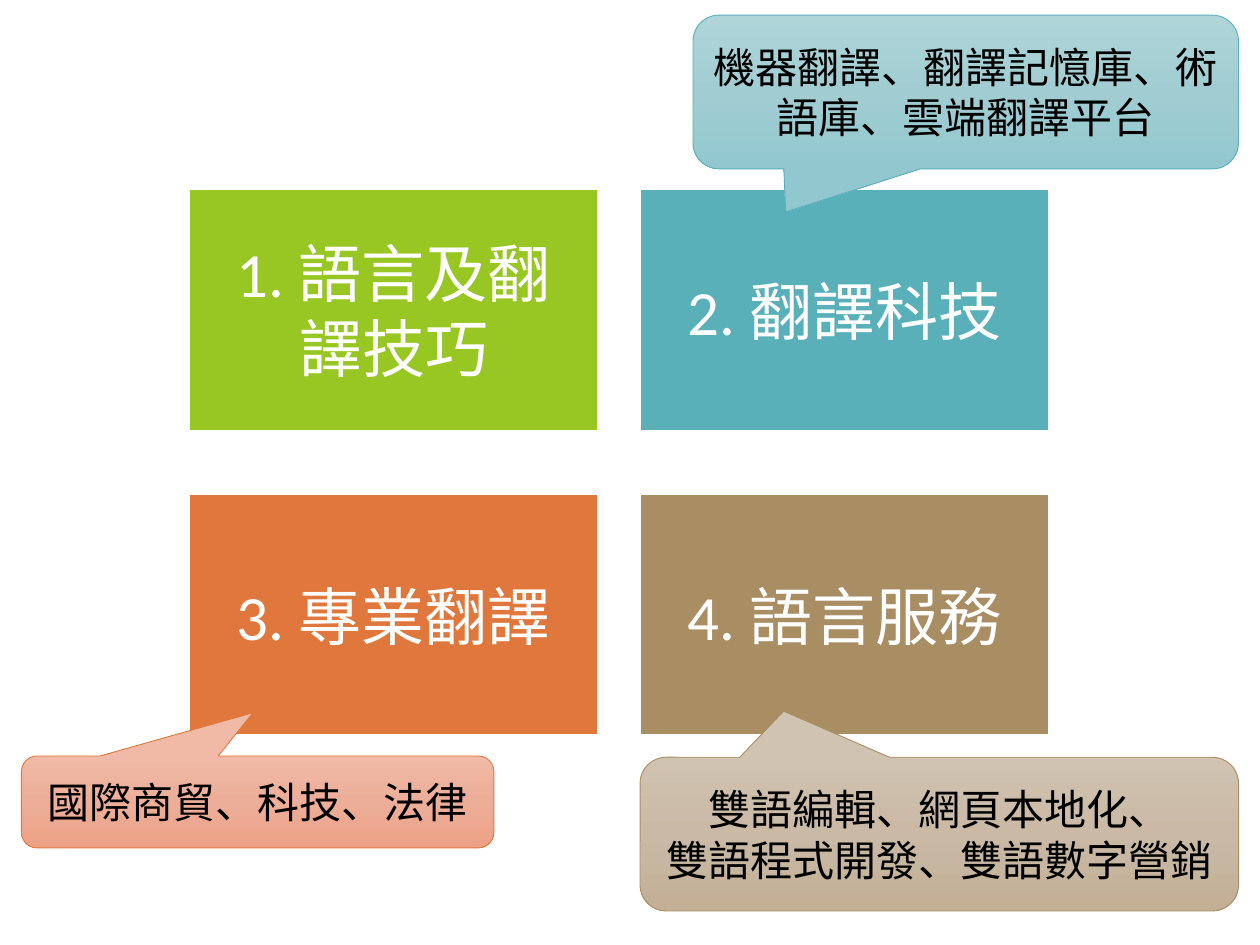
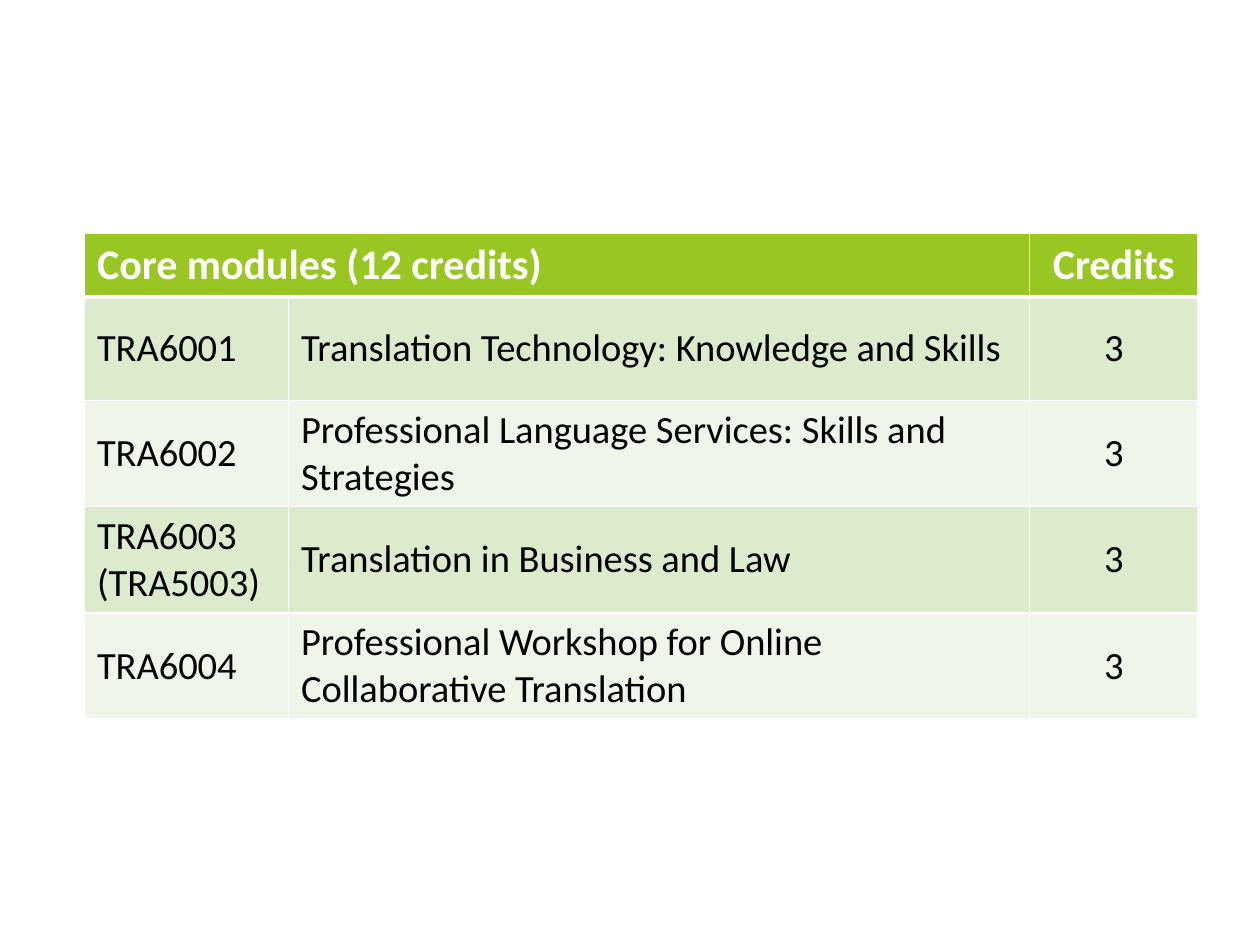
from copy import deepcopy
from dataclasses import dataclass

from lxml.etree import SubElement
from pptx import Presentation
from pptx.dml.color import RGBColor
from pptx.enum.shapes import MSO_SHAPE
from pptx.enum.text import MSO_ANCHOR, PP_ALIGN
from pptx.oxml.ns import qn
from pptx.presentation import Presentation as Deck
from pptx.shapes.autoshape import Shape
from pptx.slide import Slide
from pptx.table import _Cell as Cell
from pptx.text.text import TextFrame
from pptx.util import Inches, Pt


@dataclass(frozen=True)
class Theme:
    white: str = "FFFFFF"
    black: str = "000000"
    green: str = "98C723"
    teal: str = "59B0B9"
    orange: str = "E0773C"
    brown: str = "A98D63"
    row_fills: tuple[str, str] = ("DDEBCD", "EFF5E8")
    latin_font: str = "Calibri"
    chinese_font: str = "Noto Sans CJK TC"
    topic_size: int = 36
    callout_size: int = 24
    header_size: int = 24
    body_size: int = 22
    topic_line: float = 1.5
    callout_line: float = 0.5
    grid_line: float = 1
    header_rule: float = 3


THEME = Theme()


@dataclass(frozen=True)
class Topic:
    text: str
    color: str


@dataclass(frozen=True)
class Callout:
    text: str
    area: tuple[float, float, float, float]
    pointer: tuple[float, float]
    line: str
    gradient: tuple[str, str, str]


@dataclass(frozen=True)
class Module:
    code: str
    name: str
    credits: str = "3"


TOPICS = (
    Topic("1. 語言及翻譯技巧", THEME.green),
    Topic("2. 翻譯科技", THEME.teal),
    Topic("3. 專業翻譯", THEME.orange),
    Topic("4. 語言服務", THEME.brown),
)
TOPIC_LEFT, TOPIC_TOP = 1.5, 1.5
TOPIC_WIDTH, TOPIC_HEIGHT = 3.25, 1.92
TOPIC_STEP_X, TOPIC_STEP_Y = 3.58, 2.42

CALLOUTS = (
    Callout("機器翻譯、翻譯記憶庫、術語庫、雲端翻譯平台", (5.5, 0.12, 4.33, 1.22),
            (-0.33, 0.78), THEME.teal, ("AFD5D9", "A1CDD2", "91C8CF")),
    Callout("國際商貿、科技、法律", (0.17, 6, 3.75, 0.73),
            (-0.01, -0.97), THEME.orange, ("F0BAA7", "ECAE99", "EDA185")),
    Callout("雙語編輯、網頁本地化、\n雙語程式開發、雙語數字營銷", (5.08, 6.01, 4.75, 1.22),
            (-0.26, -0.8), THEME.brown, ("D1C3B2", "C9B9A5", "C3AF96")),
)

MODULES = (
    Module("TRA6001", "Translation Technology: Knowledge and Skills"),
    Module("TRA6002", "Professional Language Services: Skills and Strategies"),
    Module("TRA6003\n(TRA5003)", "Translation in Business and Law"),
    Module("TRA6004", "Professional Workshop for Online Collaborative Translation"),
)
COLUMN_WIDTHS = (1.62, 5.88, 1.34)
ROW_HEIGHTS = (0.5, 0.82, 0.83, 0.83, 0.83)


def rgb(color: str) -> RGBColor:
    return RGBColor.from_string(color)


def write(frame: TextFrame, text: str, size: int, color: str, font: str,
          align: PP_ALIGN = PP_ALIGN.CENTER, bold: bool = False) -> None:
    frame.word_wrap = True
    frame.text = text
    font_format = {"name": font, "size": Pt(size), "bold": bold}
    for para in frame.paragraphs:
        para.alignment = align
        for span in para.runs:
            for key, value in font_format.items():
                setattr(span.font, key, value)
            span.font.color.rgb = rgb(color)
            SubElement(span.font._element, qn("a:ea"), typeface=THEME.chinese_font)


def add_box(page: Slide, kind: MSO_SHAPE, area: tuple[float, float, float, float],
            line: str, weight: float) -> Shape:
    box = page.shapes.add_shape(kind, *map(Inches, area))
    box.shadow.inherit = False
    box.line.color.rgb = rgb(line)
    box.line.width = Pt(weight)
    box.text_frame.vertical_anchor = MSO_ANCHOR.MIDDLE
    return box


def add_topic(page: Slide, index: int, topic: Topic) -> None:
    row, column = divmod(index, 2)
    area = (TOPIC_LEFT + column * TOPIC_STEP_X, TOPIC_TOP + row * TOPIC_STEP_Y,
            TOPIC_WIDTH, TOPIC_HEIGHT)
    box = add_box(page, MSO_SHAPE.RECTANGLE, area, THEME.white, THEME.topic_line)
    box.fill.solid()
    box.fill.fore_color.rgb = rgb(topic.color)
    frame = box.text_frame
    frame.margin_left = frame.margin_right = Inches(0.15)
    write(frame, topic.text, THEME.topic_size, THEME.white, THEME.latin_font)


def fill_downward(box: Shape, colors: tuple[str, str, str]) -> None:
    """Fill the box with an even three-colour gradient from top to bottom."""
    box.fill.gradient()
    box.fill.gradient_angle = 270
    stop_list = box._element.spPr.find(qn("a:gradFill")).find(qn("a:gsLst"))
    stop_list.insert(1, deepcopy(stop_list[0]))
    for index, (stop, color) in enumerate(zip(box.fill.gradient_stops, colors)):
        stop.position = index / 2
        stop.color.rgb = rgb(color)


def add_callout(page: Slide, callout: Callout) -> None:
    box = add_box(page, MSO_SHAPE.ROUNDED_RECTANGULAR_CALLOUT, callout.area,
                  callout.line, THEME.callout_line)
    for index, value in enumerate((*callout.pointer, 0.17)):
        box.adjustments[index] = value
    fill_downward(box, callout.gradient)
    write(box.text_frame, callout.text, THEME.callout_size, THEME.black,
          THEME.chinese_font)


def style_cell(cell: Cell, fill: str, top: float, bottom: float) -> None:
    properties = cell._tc.get_or_add_tcPr()
    weights = {"lnL": THEME.grid_line, "lnR": THEME.grid_line, "lnT": top, "lnB": bottom}
    for side, weight in weights.items():
        border = SubElement(properties, qn(f"a:{side}"), w=str(Pt(weight)))
        solid = SubElement(border, qn("a:solidFill"))
        SubElement(solid, qn("a:srgbClr"), val=THEME.white)
    cell.fill.solid()
    cell.fill.fore_color.rgb = rgb(fill)
    cell.vertical_anchor = MSO_ANCHOR.MIDDLE


def add_module_table(page: Slide) -> None:
    rows = [("Core modules (12 credits)", "", "Credits")]
    rows += [(module.code, module.name, module.credits) for module in MODULES]
    table = page.shapes.add_table(
        len(rows), len(COLUMN_WIDTHS), Inches(0.67), Inches(1.85),
        Inches(sum(COLUMN_WIDTHS)), Inches(sum(ROW_HEIGHTS))).table
    for column, width in zip(table.columns, COLUMN_WIDTHS):
        column.width = Inches(width)
    for row, height in zip(table.rows, ROW_HEIGHTS):
        row.height = Inches(height)
    table.cell(0, 0).merge(table.cell(0, 1))

    for row_index, texts in enumerate(rows):
        header = row_index == 0
        fill = THEME.green if header else THEME.row_fills[(row_index - 1) % 2]
        size = THEME.header_size if header else THEME.body_size
        color = THEME.white if header else THEME.black
        top = THEME.header_rule if row_index == 1 else THEME.grid_line
        bottom = THEME.header_rule if header else THEME.grid_line
        for column_index, text in enumerate(texts):
            cell = table.cell(row_index, column_index)
            style_cell(cell, fill, top, bottom)
            if text:
                align = PP_ALIGN.CENTER if column_index == 2 else PP_ALIGN.LEFT
                write(cell.text_frame, text, size, color, THEME.latin_font, align, header)


def add_page(deck: Deck) -> Slide:
    return deck.slides.add_slide(deck.slide_layouts.get_by_name("Blank"))


def main() -> None:
    deck = Presentation()
    deck.slide_width, deck.slide_height = Inches(10), Inches(7.5)

    topics_page = add_page(deck)
    for index, topic in enumerate(TOPICS):
        add_topic(topics_page, index, topic)
    for callout in CALLOUTS:
        add_callout(topics_page, callout)

    add_module_table(add_page(deck))
    deck.save("out.pptx")


if __name__ == "__main__":
    main()
